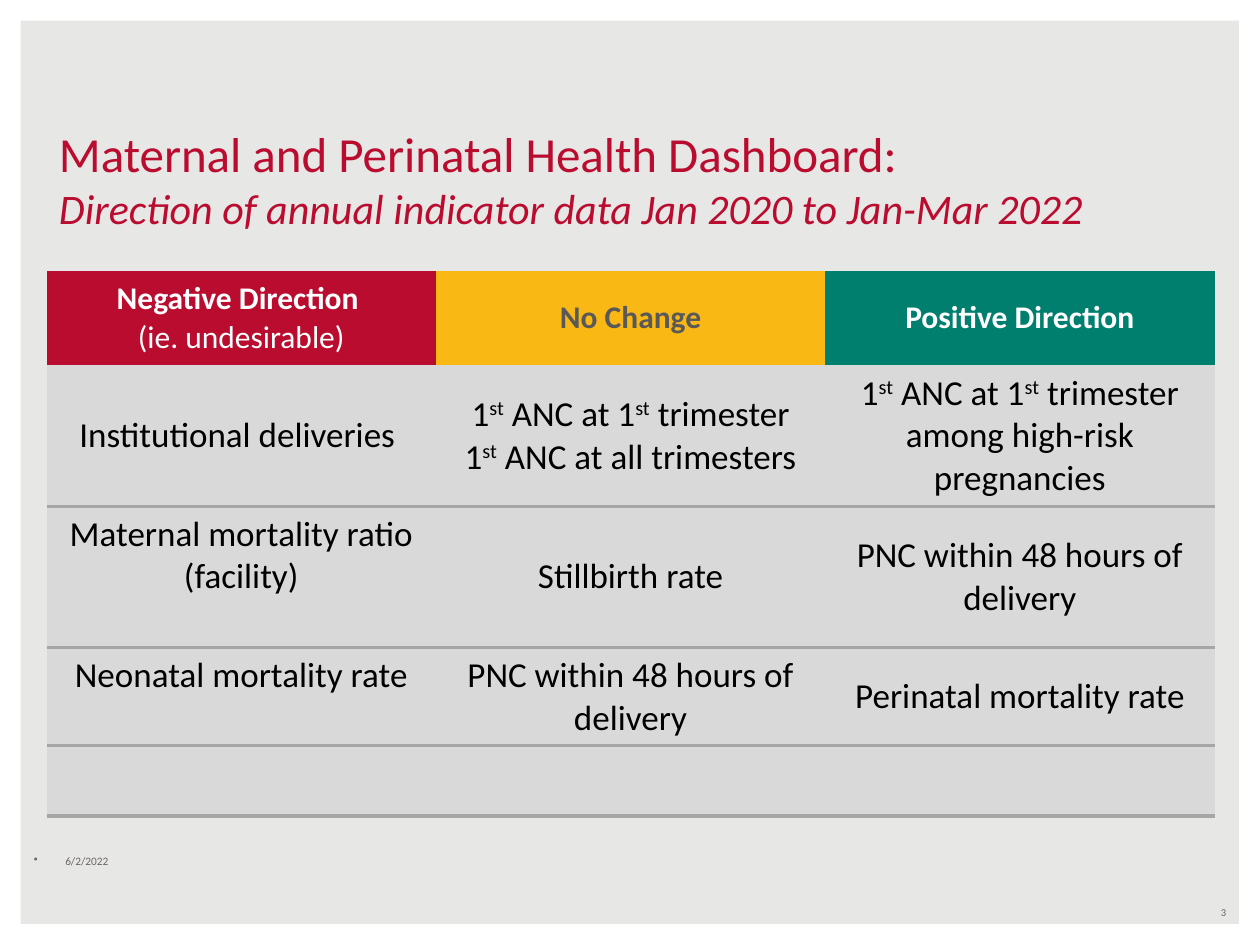
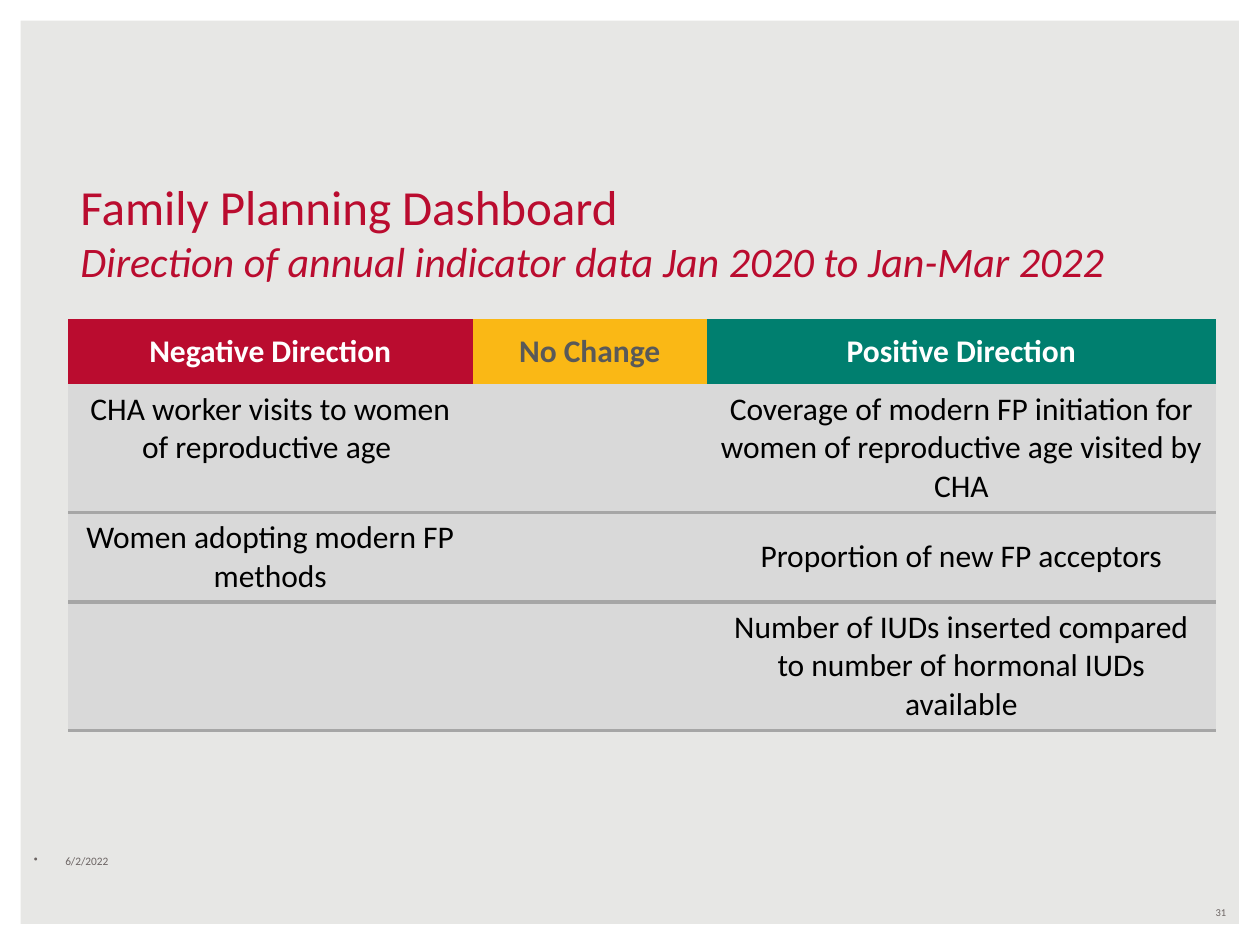
import pptx
import pptx.dml.color
import pptx.enum.shapes
import pptx.enum.text
import pptx.oxml
import pptx.oxml.ns
import pptx.util
from pptx.util import Pt

COLORS = {
    "background": "E7E7E5", "frame": "FFFFFF", "title": "BA0C2F", "footer": "6C6463",
    "negative": "BA0C2F", "no_change": "FAB815", "positive": "007F6F",
    "light_text": "FFFFFF", "dark_text": "595959",
    "body_fill": "D9D9D9", "body_text": "000000", "rule": "A6A6A6",
}
FONT = "Calibri"
SLIDE_SIZE = (720, 540)
DATE_BOX = (12.24, 484.56, 167.76, 14.4)
NUMBER_BOX = (540, 514.08, 167.76, 14.4)
TITLE_SIZE = (612, 70.56)
SUBTITLE = "Direction of annual indicator data Jan 2020 to Jan-Mar 2022"
NO_STYLE = "{2D5ABB26-0587-4C30-8999-92F81FD0307C}"
HEADER_COLORS = [("negative", "light_text"), ("no_change", "dark_text"),
                 ("positive", "light_text")]
TOP = pptx.enum.text.MSO_ANCHOR.TOP
MIDDLE = pptx.enum.text.MSO_ANCHOR.MIDDLE
BOTTOM = pptx.enum.text.MSO_ANCHOR.BOTTOM
ALIGN = pptx.enum.text.PP_ALIGN


def rgb(name):
    return pptx.dml.color.RGBColor.from_string(COLORS[name])


def set_font(font, size, color, bold=False):
    font.name = FONT
    font.size = Pt(size)
    font.bold = bold
    font.color.rgb = rgb(color)


def paint(fill, color):
    fill.solid()
    fill.fore_color.rgb = rgb(color)


def add_text_box(slide, box, anchor):
    frame = slide.shapes.add_textbox(*map(Pt, box)).text_frame
    frame.word_wrap = True
    frame.vertical_anchor = anchor
    return frame.paragraphs[0]


def add_border_frame(slide, size):
    border = slide.shapes.add_shape(
        pptx.enum.shapes.MSO_SHAPE.FRAME, 0, 0, *map(Pt, size))
    border.adjustments[0] = 0.022
    border.shadow.inherit = False
    paint(border.fill, "frame")
    border.line.fill.background()


def add_footer(slide, number):
    page = add_text_box(slide, NUMBER_BOX, MIDDLE)
    page.text = number
    page.alignment = ALIGN.RIGHT
    set_font(page.font, 6, "footer")

    date = add_text_box(slide, DATE_BOX, TOP)
    date.text = "6/2/2022"
    date.space_after = Pt(12)
    indents = date._p.get_or_add_pPr()
    indents.set("marL", str(Pt(18)))
    indents.set("indent", str(-Pt(18)))
    indents.append(pptx.oxml.parse_xml(
        f'<a:buChar {pptx.oxml.ns.nsdecls("a")} char="•"/>'))
    set_font(date.font, 6.5, "footer")


def add_title(slide, corner, heading):
    title = add_text_box(slide, corner + TITLE_SIZE, BOTTOM)
    set_font(title.font, 28, "title")
    title.add_run().text = heading
    title.add_line_break()
    subtitle = title.add_run()
    subtitle.text = SUBTITLE
    subtitle.font.size = Pt(24)
    subtitle.font.italic = True


def write_cell(cell, text, size, color, bold_first=False):
    """Text between carets is raised; each line is a paragraph."""
    for index, line in enumerate(text.split("\n")):
        frame = cell.text_frame
        paragraph = frame.add_paragraph() if index else frame.paragraphs[0]
        paragraph.alignment = ALIGN.CENTER
        set_font(paragraph.font, size, color, bold_first and index == 0)
        for part, piece in enumerate(line.split("^")):
            if piece:
                run = paragraph.add_run()
                run.text = piece
                if part % 2:
                    run.font._element.set("baseline", "30000")


def add_bottom_rule(cell):
    cell._tc.get_or_add_tcPr().insert(0, pptx.oxml.parse_xml(
        f'<a:lnB {pptx.oxml.ns.nsdecls("a")} w="{Pt(2.25)}"><a:solidFill>'
        f'<a:srgbClr val="{COLORS["rule"]}"/></a:solidFill></a:lnB>'))


def add_direction_table(slide, corner, widths, heights, rows, body_size, top_cells):
    table = slide.shapes.add_table(
        len(rows), len(widths), *map(Pt, corner),
        Pt(sum(widths)), Pt(sum(heights))).table
    table.horz_banding = False
    table._tbl.tblPr.find(pptx.oxml.ns.qn("a:tableStyleId")).text = NO_STYLE
    for column, width in zip(table.columns, widths):
        column.width = Pt(width)
    for r, (texts, height) in enumerate(zip(rows, heights)):
        table.rows[r].height = Pt(height)
        for c, text in enumerate(texts):
            cell = table.cell(r, c)
            cell.vertical_anchor = TOP if (r, c) in top_cells else MIDDLE
            if r == 0:
                fill, color = HEADER_COLORS[c]
                paint(cell.fill, fill)
                write_cell(cell, text, 18, color, bold_first=True)
            else:
                paint(cell.fill, "body_fill")
                write_cell(cell, text, body_size, "body_text")
                add_bottom_rule(cell)


def add_dashboard(deck, number, heading, title_corner, **table):
    slide = deck.slides.add_slide(deck.slide_layouts[6])
    paint(slide.background.fill, "background")
    add_border_frame(slide, SLIDE_SIZE)
    add_footer(slide, number)
    add_title(slide, title_corner, heading)
    add_direction_table(slide, **table)


def main():
    deck = pptx.Presentation()
    deck.slide_width, deck.slide_height = map(Pt, SLIDE_SIZE)

    # Maternal and perinatal health
    add_dashboard(
        deck, "3", "Maternal and Perinatal Health Dashboard:", (26.64, 66.24),
        corner=(26.64, 154.8), widths=[222.48] * 3, heights=[54, 80.6, 80.6, 56, 40.3],
        body_size=20, top_cells={(2, 0), (3, 0)},
        rows=[
            ["Negative Direction \n(ie. undesirable)", "No Change", "Positive Direction"],
            ["Institutional deliveries ",
             "1^st^ ANC at 1^st^ trimester\n1^st^ ANC at all trimesters",
             "1^st^ ANC at 1^st^ trimester among high-risk pregnancies"],
            ["Maternal mortality ratio (facility)", "Stillbirth rate",
             "PNC within 48 hours of delivery"],
            ["Neonatal mortality rate", "PNC within 48 hours of delivery",
             "Perinatal mortality rate"],
            ["", "", ""],
        ])

    # Family planning
    add_dashboard(
        deck, "31", "Family Planning Dashboard", (38.88, 96.48),
        corner=(38.88, 182), widths=[231.12, 133.92, 290.88],
        heights=[37.4, 73.4, 51.2, 73.4], body_size=18, top_cells={(1, 0)},
        rows=[
            ["Negative Direction", "No Change", "Positive Direction"],
            ["CHA worker visits to women of reproductive age ", "",
             "Coverage of modern FP initiation for women of reproductive age "
             "visited by CHA"],
            ["Women adopting modern FP methods", "", "Proportion of new FP acceptors"],
            ["", "",
             "Number of IUDs inserted compared to number of hormonal IUDs available"],
        ])

    deck.save("out.pptx")


if __name__ == "__main__":
    main()
